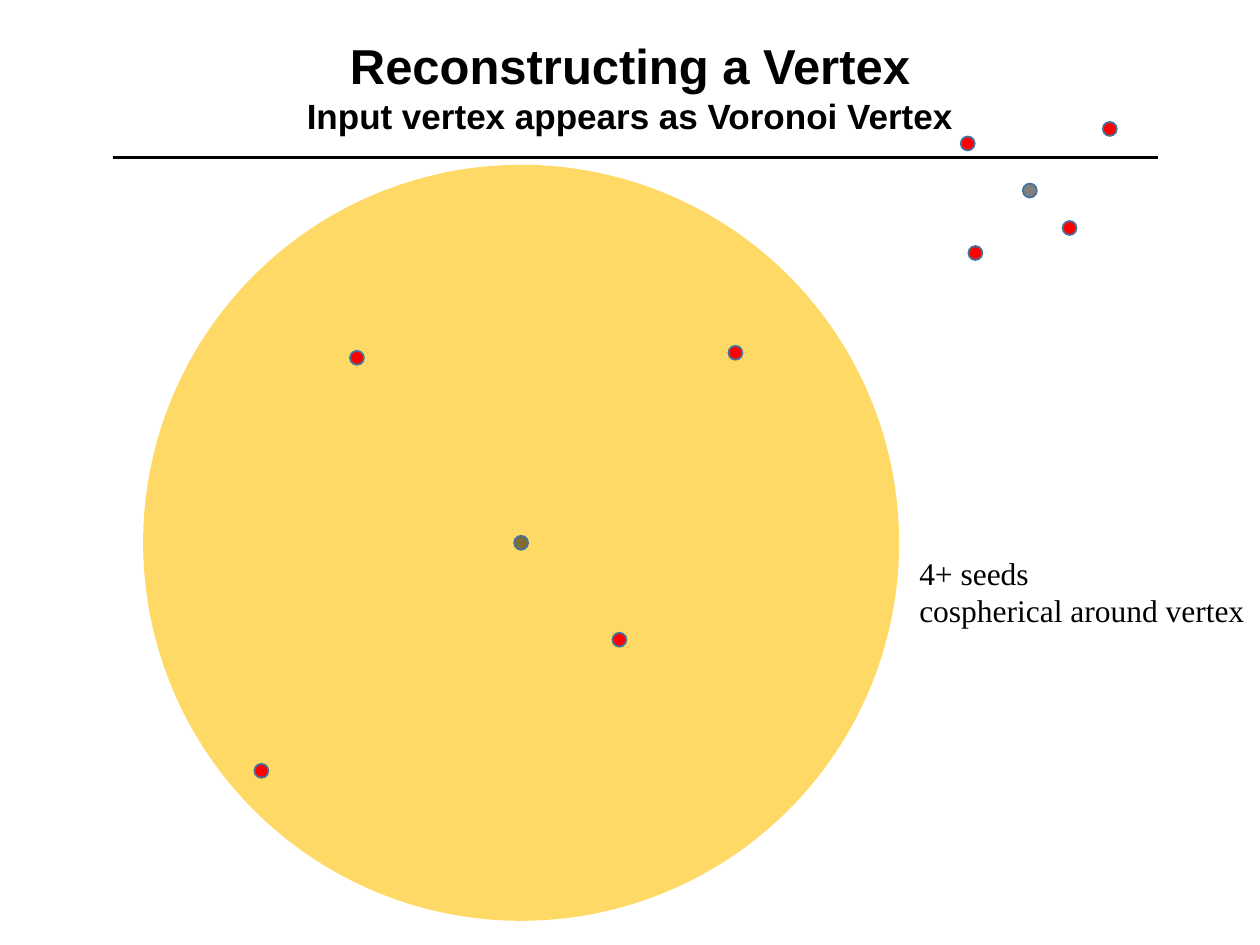
from lxml import etree
from pptx import Presentation
from pptx.dml.color import RGBColor
from pptx.enum.shapes import MSO_CONNECTOR, MSO_SHAPE
from pptx.enum.text import MSO_ANCHOR, MSO_AUTO_SIZE, PP_ALIGN
from pptx.oxml.ns import qn
from pptx.util import Pt

BLACK = RGBColor(0x00, 0x00, 0x00)
RED = RGBColor(0xFF, 0x00, 0x00)
GOLD = RGBColor(0xFF, 0xD9, 0x66)
BLUE = RGBColor(0x43, 0x73, 0x9E)

DOT = 8
BALL = 432

# Dot centres, relative to the box of their group
NEAR_SEEDS = [(4, 12.3), (85.2, 4), (62.2, 60.6), (8.4, 74.9)]
NEAR_VERTEX = (39.5, 39.2)
BALL_SEEDS = [(122.2, 110.3), (338.5, 107.4), (272.2, 371.4 - 100), (67.6, 346.3)]
BALL_VERTEX = (BALL / 2, BALL / 2)


def write(para, text, size, font="Arial", bold=False, color=BLACK):
    run = para.add_run()
    run.text = text
    run.font.size = Pt(size)
    run.font.name = font
    run.font.bold = bold
    run.font.color.rgb = color


def place(shape, left, top, width, height):
    shape.left, shape.top = Pt(left), Pt(top)
    shape.width, shape.height = Pt(width), Pt(height)


def add_disc(slide, x, y, size, fill, line=None, alpha=None):
    """Draw a circle centred on x, y; alpha is the opacity in percent."""
    disc = slide.shapes.add_shape(
        MSO_SHAPE.OVAL, Pt(x - size / 2), Pt(y - size / 2), Pt(size), Pt(size))
    disc.shadow.inherit = False
    disc.fill.solid()
    disc.fill.fore_color.rgb = fill
    if line is None:
        disc.line.fill.background()
    else:
        disc.line.color.rgb = line
        disc.line.width = Pt(1)
    if alpha is not None:
        tint = disc._element.spPr.find(qn("a:solidFill"))[0]
        etree.SubElement(tint, qn("a:alpha"), val=str(alpha * 1000))


def add_seeds(slide, left, top, seeds, vertex):
    """Draw red seeds around one half-clear vertex."""
    for x, y in seeds:
        add_disc(slide, left + x, top + y, DOT, RED, BLUE)
    x, y = vertex
    add_disc(slide, left + x, top + y, DOT, BLACK, BLUE, alpha=50)


def add_ball(slide, left, top):
    add_disc(slide, left + BALL / 2, top + BALL / 2, BALL, GOLD)
    add_seeds(slide, left, top, BALL_SEEDS, BALL_VERTEX)


def add_head(slide, left, top, width, height):
    title = slide.shapes.title
    place(title, left, top, width, height)
    frame = title.text_frame
    frame.auto_size = MSO_AUTO_SIZE.NONE
    frame.vertical_anchor = MSO_ANCHOR.MIDDLE
    para = frame.paragraphs[0]
    para.alignment = PP_ALIGN.CENTER
    write(para, "Reconstructing a Vertex", 28, bold=True)
    para.add_line_break()
    write(para, "Input vertex appears as Voronoi Vertex", 20, bold=True)


def add_rule(slide, left, top, width):
    rule = slide.shapes.add_connector(
        MSO_CONNECTOR.STRAIGHT, Pt(left), Pt(top), Pt(left + width), Pt(top))
    rule.line.color.rgb = BLACK
    rule.line.width = Pt(2)
    etree.SubElement(rule._element.spPr, qn("a:effectLst"))


def add_note(slide, left, top, width, height):
    box = slide.shapes.add_textbox(Pt(left), Pt(top), Pt(width), Pt(height))
    frame = box.text_frame
    frame.word_wrap = False
    write(frame.paragraphs[0], "4+ seeds", 18, font="Times New Roman")
    write(frame.add_paragraph(), "cospherical around vertex", 18,
          font="Times New Roman")


def main():
    deck = Presentation()
    deck.slide_width, deck.slide_height = Pt(720), Pt(540)
    slide = deck.slides.add_slide(deck.slide_layouts[5])
    add_rule(slide, 64.4, 89.9, 597.6)
    add_head(slide, 54, 9, 612, 80)
    add_note(slide, 518.2, 312.8, 202.2, 51)
    add_seeds(slide, 549, 69.7, NEAR_SEEDS, NEAR_VERTEX)
    add_ball(slide, 81.8, 94.2)
    deck.save("out.pptx")


if __name__ == "__main__":
    main()
